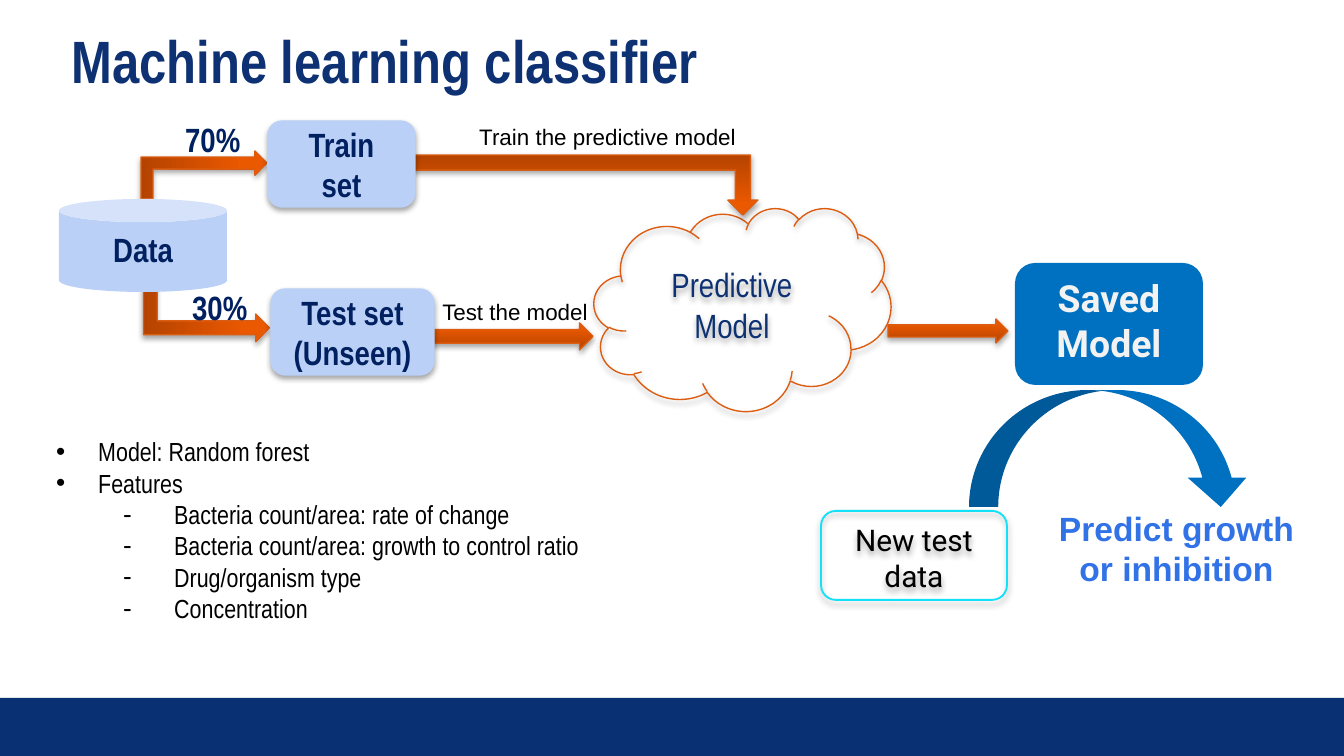
import copy
from dataclasses import dataclass

import pptx
import pptx.dml.color
import pptx.enum.shapes
import pptx.enum.text
import pptx.oxml
import pptx.oxml.ns
import pptx.util

SHAPE = pptx.enum.shapes.MSO_SHAPE
ALIGN = pptx.enum.text.PP_ALIGN
ANCHOR = pptx.enum.text.MSO_ANCHOR


@dataclass(frozen=True)
class Theme:
    # Colours
    bar: str = "0A3074"
    title: str = "0D3172"
    navy: str = "002060"
    pale: str = "BAD0F7"
    blue: str = "0070C0"
    result: str = "3172E7"
    cyan: str = "13E1F8"
    orange: str = "DC5D11"
    black: str = "000000"
    light: str = "F2F2F2"
    gradient: tuple = ((0, "B54300"), (0.8, "EA5800"), (1, "EC5800"))
    # Fonts and sizes
    narrow: str = "Arial Narrow"
    plain: str = "Arial"
    modern: str = "Roboto"
    title_size: int = 32
    saved_size: int = 20
    step_size: int = 18
    data_size: int = 16
    list_size: int = 14
    label_size: int = 12
    # Shadows: opacity %, blur and distance in points
    shadow: tuple = (35, 3.1, 1.8)
    deep_shadow: tuple = (32, 3.5, 2.2)


THEME = Theme()


def px(length):
    return pptx.util.Emu(round(length * 914400 / 134.4))


def rgb(value):
    return pptx.dml.color.RGBColor.from_string(value)


class SlideBuilder:
    def __init__(self, slide, theme):
        self.slide = slide
        self.theme = theme

    def style(self, paragraph, font, size, color, bold=False, align=ALIGN.LEFT):
        paragraph.alignment = align
        paragraph.font.name = font
        paragraph.font.size = pptx.util.Pt(size)
        paragraph.font.color.rgb = rgb(color)
        paragraph.font.bold = bold

    def set_text(self, frame, text, *style, anchor=ANCHOR.TOP, **options):
        frame.word_wrap = True
        frame.vertical_anchor = anchor
        frame.text = text
        for paragraph in frame.paragraphs:
            self.style(paragraph, *style, **options)

    def title(self, box, text):
        title = self.slide.shapes.title
        title.left, title.top, title.width, title.height = map(px, box)
        title.text_frame.auto_size = pptx.enum.text.MSO_AUTO_SIZE.NONE
        self.set_text(title.text_frame, text, self.theme.narrow,
                      self.theme.title_size, self.theme.title, bold=True)
        title.text_frame.paragraphs[0].line_spacing = pptx.util.Pt(28)

    def label(self, box, text, *style, **options):
        label = self.slide.shapes.add_textbox(*map(px, box))
        self.set_text(label.text_frame, text, *style, **options)

    def shape(self, kind, box, fill=None, line=None, weight=0.75, shadow=None):
        shape = self.slide.shapes.add_shape(kind, *map(px, box))
        shape.shadow.inherit = False
        if fill:
            shape.fill.solid()
            shape.fill.fore_color.rgb = rgb(fill)
        else:
            shape.fill.background()
        if line:
            shape.line.color.rgb = rgb(line)
            shape.line.width = pptx.util.Pt(weight)
        else:
            shape.line.fill.background()
        if shadow:
            self.cast_shadow(shape, *shadow)
        return shape

    def cast_shadow(self, shape, opacity, blur, distance):
        effects = shape._element.spPr.find(pptx.oxml.ns.qn("a:effectLst"))
        effects.append(pptx.oxml.parse_xml(
            f'<a:outerShdw {pptx.oxml.ns.nsdecls("a")} dir="5400000" rotWithShape="0" '
            f'blurRad="{pptx.util.Pt(blur)}" dist="{pptx.util.Pt(distance)}">'
            f'<a:srgbClr val="{self.theme.black}"><a:alpha val="{opacity * 1000}"/>'
            '</a:srgbClr></a:outerShdw>'))

    def step(self, kind, box, text, *style, anchor=ANCHOR.TOP, bold=False, **look):
        step = self.shape(kind, box, **look)
        self.set_text(step.text_frame, text, *style, anchor=anchor, bold=bold,
                      align=ALIGN.CENTER)

    def arrow(self, kind, box, rotation=0, flips=()):
        arrow = self.shape(kind, box, line=self.theme.orange, shadow=self.theme.shadow)
        arrow.rotation = rotation
        for flip in flips:
            arrow._element.spPr.xfrm.set(flip, "1")
        arrow.fill.gradient()
        arrow.fill.gradient_angle = 90
        stop_list = arrow._element.spPr.find(".//" + pptx.oxml.ns.qn("a:gsLst"))
        stop_list.append(copy.deepcopy(stop_list[-1]))
        for stop, (position, color) in zip(arrow.fill.gradient_stops, self.theme.gradient):
            stop.position = position
            stop.color.rgb = rgb(color)

    def bullets(self, box, items):
        frame = self.slide.shapes.add_textbox(*map(px, box)).text_frame
        frame.word_wrap = True
        frame.text = "\n".join(text for _, text in items)
        for paragraph, (level, _) in zip(frame.paragraphs, items):
            mark, margin, hang = (("•", 42, 42), ("-", 118, 51))[level]
            paragraph.level = level
            properties = paragraph._p.get_or_add_pPr()
            properties.set("marL", str(px(margin)))
            properties.set("indent", str(-px(hang)))
            for tag in ('buFont typeface="Arial"', f'buChar char="{mark}"'):
                properties.append(pptx.oxml.parse_xml(
                    f'<a:{tag} {pptx.oxml.ns.nsdecls("a")}/>'))
            self.style(paragraph, self.theme.narrow, self.theme.list_size, self.theme.black,
                       align=ALIGN.JUSTIFY if level else ALIGN.LEFT)


def main():
    deck = pptx.Presentation()
    deck.slide_width, deck.slide_height = px(1344), px(756)
    t = THEME
    page = SlideBuilder(deck.slides.add_slide(deck.slide_layouts[5]), t)
    step_text = (t.narrow, t.step_size, t.navy)
    label_text = (t.plain, t.label_size, t.black)

    # Footer bar, title and model notes
    page.shape(SHAPE.RECTANGLE, (0, 698, 1344, 58), fill=t.bar)
    page.title((58, 36, 1258, 89), "Machine learning classifier")
    page.bullets((43, 429, 1273, 257), [
        (0, "Model: Random forest"),
        (0, "Features"),
        (1, "Bacteria count/area: rate of change"),
        (1, "Bacteria count/area: growth to control ratio"),
        (1, "Drug/organism type"),
        (1, "Concentration"),
    ])

    # Predictive model
    page.step(SHAPE.CLOUD, (594, 208, 297, 203), "Predictive Model",
              t.narrow, t.step_size, t.title, anchor=ANCHOR.MIDDLE,
              line=t.orange, shadow=t.shadow)

    # Data split
    page.arrow(SHAPE.BENT_UP_ARROW, (180, 112, 48, 126), 90, ["flipH"])
    page.arrow(SHAPE.BENT_UP_ARROW, (179, 251, 55, 126), 270, ["flipH", "flipV"])
    page.label((179, 280, 102, 47), "30%", *step_text, bold=True)
    page.label((172, 112, 114, 47), "70%", *step_text, bold=True)

    # Training and testing
    page.label((466, 117, 357, 36), "Train the predictive model", *label_text)
    page.arrow(SHAPE.BENT_UP_ARROW, (406, 155, 352, 60), 180, ["flipH"])
    page.arrow(SHAPE.RIGHT_ARROW, (415, 323, 178, 27))
    for box, text in (((271, 289, 163, 86), "Test set\n(Unseen)"),
                      ((268, 121, 147, 86), "Train set")):
        page.step(SHAPE.ROUNDED_RECTANGLE, box, text, *step_text, bold=True,
                  anchor=ANCHOR.MIDDLE, fill=t.pale, line=t.pale, shadow=t.shadow)
    page.label((429, 292, 357, 36), "Test the model", *label_text)

    # Prediction on new data
    page.arrow(SHAPE.RIGHT_ARROW, (888, 319, 120, 24))
    page.step(SHAPE.ROUNDED_RECTANGLE, (821, 511, 186, 89), "New test data",
              t.modern, t.data_size, t.black, line=t.cyan, weight=1, shadow=t.deep_shadow)
    page.shape(SHAPE.CURVED_DOWN_ARROW, (969, 390, 281, 117), fill=t.blue)
    page.label((1036, 501, 281, 95), "Predict growth or inhibition",
               t.plain, t.step_size, t.result, bold=True, align=ALIGN.CENTER)

    # Data source and saved model
    page.step(SHAPE.CAN, (59, 199, 168, 93), "Data", *step_text, bold=True, fill=t.pale)
    page.step(SHAPE.ROUNDED_RECTANGLE, (1015, 263, 188, 122), "Saved Model",
              t.modern, t.saved_size, t.light, bold=True, fill=t.blue)

    deck.save("out.pptx")


if __name__ == "__main__":
    main()
